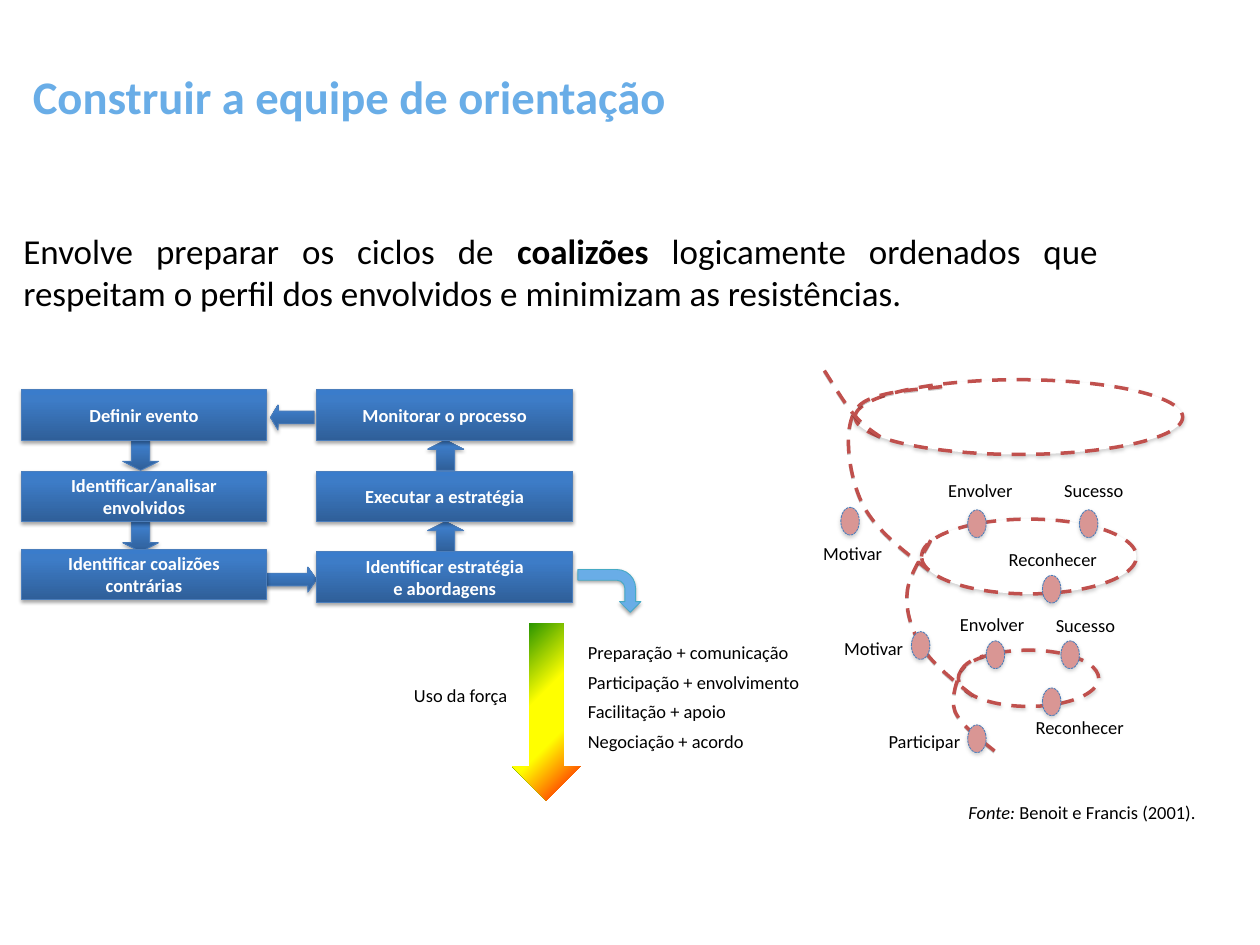
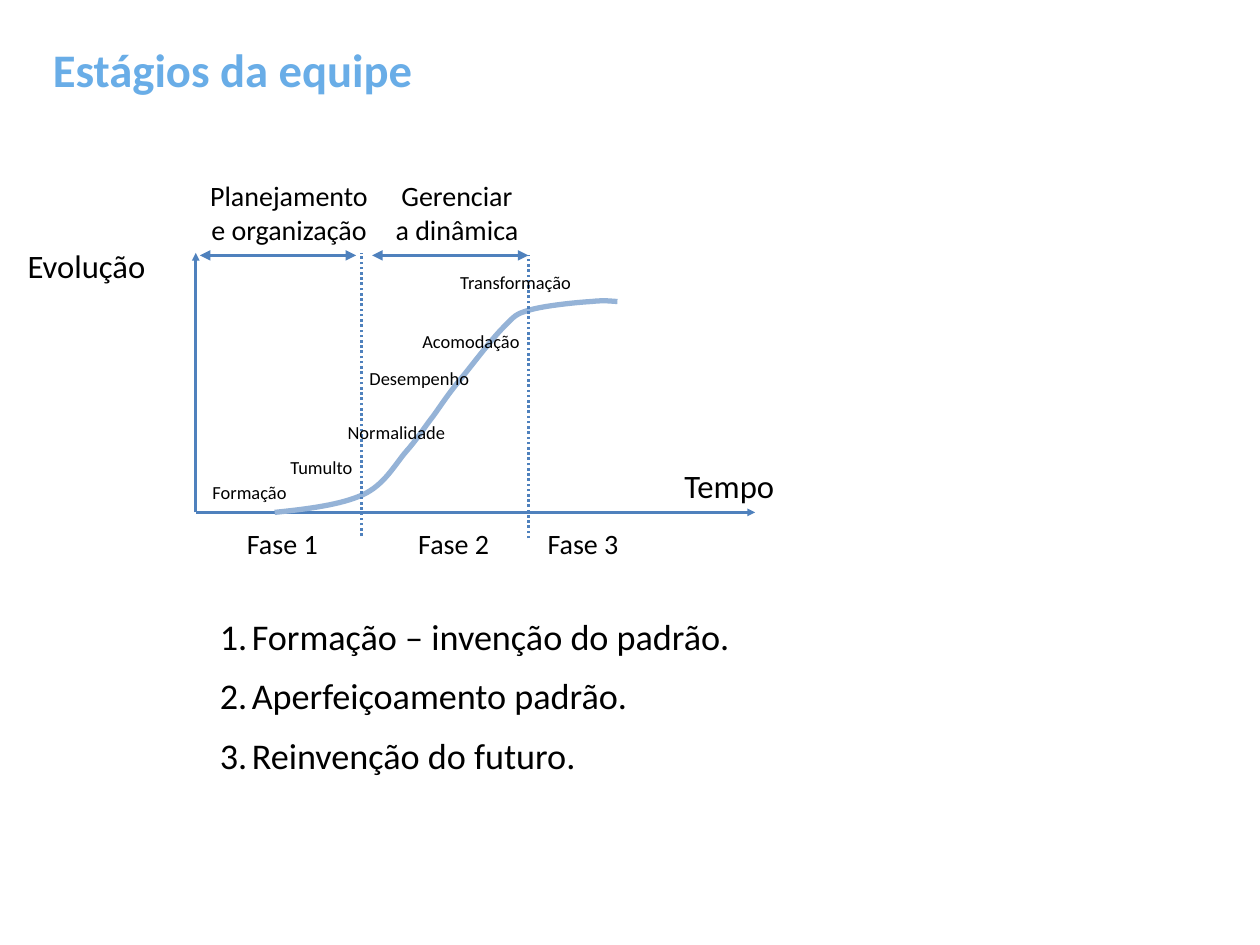
from dataclasses import dataclass

from pptx import Presentation
from pptx import util as u
from pptx.dml.color import RGBColor
from pptx.enum import dml, shapes, text
from pptx.oxml import parse_xml
from pptx.oxml.ns import nsdecls
from pptx.oxml.xmlchemy import OxmlElement

KIND = shapes.MSO_SHAPE
DASH = dml.MSO_LINE
ALIGN = text.PP_ALIGN
ANCHOR = text.MSO_ANCHOR


@dataclass(frozen=True)
class Theme:
    font: str = "Calibri"
    title: str = "69ADE7"
    ink: str = "000000"
    white: str = "FFFFFF"
    box_line: str = "4B7EBC"
    turn_line: str = "46AAC5"
    spiral: str = "C0504D"
    node: str = "D99694"
    node_line: str = "4A7EBB"
    axis: str = "4F81BD"
    growth: str = "95B3D7"
    box_stops: tuple = ((0, "2F5F99"), (80, "3D7CC7"), (100, "3A7CCB"))
    force_stops: tuple = ((0, "FF0000"), (36, "FFFF00"), (59, "FFFF00"), (100, "008000"))
    # Shadows: colour, opacity %, blur pt, distance pt
    dark_shadow: tuple = ("000000", 35, 3.1, 1.8)
    grey_shadow: tuple = ("808080", 35, 3.1, 1.8)
    thin_shadow: tuple = ("000000", 20, 0, 1)
    # Type sizes
    title_size: float = 40
    list_size: float = 31
    lead_size: float = 30
    axis_size: float = 28
    phase_size: float = 24
    label_size: float = 15.8


THEME = Theme()


def apply(target, values):
    for name, value in values.items():
        setattr(target, name, value)


def inches(values):
    return [u.Inches(value) for value in values]


class Deck:
    """Holds the theme and the slide being built."""

    def __init__(self, theme):
        self.theme = theme
        self.prs = Presentation()
        apply(self.prs, {"slide_width": u.Inches(15), "slide_height": u.Inches(11.25)})
        self.slide = None

    def new_slide(self, title, place, **paragraph):
        self.slide = self.prs.slides.add_slide(self.prs.slide_layouts[5])
        heading = self.slide.shapes.title
        apply(heading, dict(zip(("left", "top", "width", "height"), inches(place))))
        self.fill_text(heading.text_frame, title, self.theme.title_size, self.theme.title,
                       {"bold": True}, {"alignment": ALIGN.LEFT, **paragraph},
                       {"vertical_anchor": ANCHOR.TOP, "auto_size": text.MSO_AUTO_SIZE.NONE})

    def fill_text(self, frame, content, size, color, font, paragraph, box):
        """Content is a string, or a list of (text, font values) runs in one paragraph."""
        apply(frame, {"word_wrap": True, **box})
        lines = [[(line, {})] for line in content.split("\n")] if isinstance(content, str) else [content]
        for index, runs in enumerate(lines):
            para = frame.add_paragraph() if index else frame.paragraphs[0]
            values = dict(paragraph)
            if index == 0:
                values.pop("space_before", None)
            apply(para, values)
            for words, extra in runs:
                run = para.add_run()
                run.text = words
                apply(run.font, {"name": self.theme.font, "size": u.Pt(size), **font, **extra})
                run.font.color.rgb = RGBColor.from_string(color)

    def label(self, content, place, size=None, wrap=True, anchor=ANCHOR.TOP, **paragraph):
        box = self.slide.shapes.add_textbox(*inches(place))
        self.fill_text(box.text_frame, content, size or self.theme.label_size, self.theme.ink, {}, paragraph,
                       {"word_wrap": wrap, "vertical_anchor": anchor,
                        "auto_size": text.MSO_AUTO_SIZE.SHAPE_TO_FIT_TEXT})
        return box

    def numbered(self, content, place, size, hang, **paragraph):
        box = self.label(content, place, size, False, ANCHOR.MIDDLE, **paragraph)
        for para in box.text_frame.paragraphs:
            props = para._p.get_or_add_pPr()
            props.set("marL", str(u.Inches(hang)))
            props.set("indent", str(-u.Inches(hang)))
            number = OxmlElement("a:buAutoNum")
            number.set("type", "arabicPeriod")
            props.append(number)

    def stroke(self, line, color, width, dash=None):
        line.color.rgb = RGBColor.from_string(color)
        line.width = u.Pt(width)
        if dash:
            line.dash_style = dash

    def shade(self, shape, shadow):
        shape.shadow.inherit = False
        if shadow:
            color, opacity, blur, distance = shadow
            shape._element.spPr.find("{*}effectLst").append(parse_xml(
                f'<a:outerShdw {nsdecls("a")} blurRad="{u.Pt(blur)}" dist="{u.Pt(distance)}" '
                f'dir="5400000" rotWithShape="0"><a:srgbClr val="{color}">'
                f'<a:alpha val="{opacity * 1000}"/></a:srgbClr></a:outerShdw>'))

    def gradient(self, shape, stops, direction):
        marks = "".join(f'<a:gs pos="{pos * 1000}"><a:srgbClr val="{color}"/></a:gs>' for pos, color in stops)
        shape._element.spPr.insert(2, parse_xml(
            f'<a:gradFill {nsdecls("a")} rotWithShape="1"><a:gsLst>{marks}</a:gsLst>{direction}</a:gradFill>'))

    def shape(self, kind, place, fill=None, line=None, shadow=None, adjust=()):
        """Fill is a colour, or a tuple of (stops, direction) for a gradient."""
        item = self.slide.shapes.add_shape(kind, *inches(place))
        for index, value in enumerate(adjust):
            item.adjustments[index] = value
        if isinstance(fill, tuple):
            self.gradient(item, *fill)
        elif fill:
            item.fill.solid()
            item.fill.fore_color.rgb = RGBColor.from_string(fill)
        else:
            item.fill.background()
        if line:
            self.stroke(item.line, *line)
        else:
            item.line.fill.background()
        self.shade(item, shadow)
        return item

    def block(self, kind, place, adjust=()):
        upward = '<a:lin ang="16200000" scaled="0"/>'
        return self.shape(kind, place, (self.theme.box_stops, upward), (self.theme.box_line, 0.75),
                          self.theme.dark_shadow, adjust)

    def step(self, content, place):
        item = self.block(KIND.RECTANGLE, place)
        self.fill_text(item.text_frame, content, self.theme.label_size, self.theme.white, {"bold": True},
                       {"alignment": ALIGN.CENTER}, {"word_wrap": False, "vertical_anchor": ANCHOR.MIDDLE})

    def curve(self, points, line, shadow=None):
        """Draw cubic curves: a start point, then three points for each segment."""
        start, *rest = [tuple(inches(point)) for point in points]
        builder = self.slide.shapes.build_freeform(*start)
        builder.add_line_segments(rest, close=False)
        item = builder.convert_to_shape()
        outline = item._element.xpath(".//a:path")[0]
        steps = outline.findall("{*}lnTo")
        for first in range(0, len(steps), 3):
            bend = OxmlElement("a:cubicBezTo")
            steps[first].addprevious(bend)
            for step in steps[first:first + 3]:
                bend.append(step[0])
                outline.remove(step)
        item.fill.background()
        self.stroke(item.line, *line)
        self.shade(item, shadow)

    def line(self, start, end, width, dash=None, tips=()):
        item = self.slide.shapes.add_connector(shapes.MSO_CONNECTOR.STRAIGHT, *inches(start + end))
        self.stroke(item.line, self.theme.axis, width, dash)
        props = item._element.spPr
        for tip in tips:
            arrow = OxmlElement(f"a:{tip}")
            arrow.set("type", "triangle")
            props.get_or_add_ln().append(arrow)
        props.append(OxmlElement("a:effectLst"))


def build_coalitions(deck):
    theme = deck.theme
    deck.new_slide("Construir a equipe de orientação", (0.29, 0.76, 7.97, 0.77))

    # Flow of steps: arrows first, boxes over them
    for top in (5.24, 6.21):
        deck.block(KIND.DOWN_ARROW, (1.46, top, 0.43, 0.36), (0.5, 0.3))
        deck.block(KIND.UP_ARROW, (5.09, top, 0.43, 0.36), (0.5, 0.3))
    deck.block(KIND.RIGHT_ARROW, (3.17, 6.75, 0.6, 0.3), (0.5, 0.35))
    deck.block(KIND.LEFT_ARROW, (3.22, 4.82, 0.52, 0.3), (0.5, 0.3))
    columns = (
        (0.26, 2.91, ((4.64, "Definir evento"), (5.61, "Identificar/analisar\nenvolvidos"),
                      (6.54, "Identificar coalizões\ncontrárias"))),
        (3.77, 3.05, ((4.64, "Monitorar o processo"), (5.61, "Executar a estratégia"),
                      (6.57, "Identificar estratégia\ne abordagens"))),
    )
    for left, width, steps in columns:
        for top, name in steps:
            deck.step(name, (left, top, width, 0.6))

    # Lead sentence
    deck.label([("Envolve preparar os ciclos de ", {}), ("coalizões", {"bold": True}),
                (" logicamente ordenados que respeitam o perfil dos envolvidos e minimizam as resistências.", {})],
               (0.18, 2.68, 12.99, 1.11), theme.lead_size, alignment=ALIGN.JUSTIFY)

    # Spiral of coalition cycles
    dashed = (theme.spiral, 3, DASH.DASH)
    for place, fill in (((11.41, 7.74, 1.67, 0.67), None), ((10.97, 6.18, 2.56, 0.89), theme.white),
                        ((10.18, 4.52, 3.9, 0.89), theme.white)):
        deck.shape(KIND.OVAL, place, fill, dashed, theme.grey_shadow)
    spiral_arcs = (
        ((11.84, 8.94), (11.64, 8.78), (11.44, 8.63), (11.37, 8.47), (11.31, 8.31), (11.4, 8.08),
         (11.45, 7.97), (11.51, 7.86), (11.71, 7.81), (11.71, 7.81)),
        ((11.58, 8.28), (11.35, 8.1), (11.11, 7.91), (10.98, 7.71), (10.85, 7.5), (10.78, 7.27),
         (10.8, 7.06), (10.81, 6.84), (11.04, 6.53), (11.08, 6.43)),
        ((11.06, 6.79), (10.73, 6.54), (10.39, 6.28), (10.25, 5.96), (10.1, 5.63), (10.03, 5.08),
         (10.2, 4.86), (10.37, 4.63), (11.09, 4.64), (11.27, 4.59)),
        ((10.48, 5.2), (10.38, 5.13), (10.28, 5.07), (10.17, 4.94), (10.05, 4.8), (9.86, 4.48), (9.8, 4.39)),
    )
    for arc in spiral_arcs:
        deck.curve(arc, dashed, theme.thin_shadow)

    # Each spiral stage: name, label corner and width, node corner
    stages = (
        ("Participar", 10.48, 8.64, 1.45, 11.52, 8.63),
        ("Envolver", 11.33, 7.25, 1.78, 11.74, 7.63),
        ("Sucesso", 12.47, 7.26, 1.78, 12.63, 7.63),
        ("Reconhecer", 12.23, 8.48, 1.78, 12.41, 8.19),
        ("Motivar", 9.95, 7.54, 1.45, 10.85, 7.52),
        ("Envolver", 11.19, 5.66, 1.78, 11.52, 6.07),
        ("Sucesso", 12.57, 5.66, 1.78, 12.85, 6.07),
        ("Reconhecer", 11.91, 6.48, 1.78, 12.41, 6.85),
        ("Motivar", 9.7, 6.4, 1.45, 10.01, 6.04),
    )
    for name, left, top, width, node_left, node_top in stages:
        deck.shape(KIND.OVAL, (node_left, node_top, 0.22, 0.33), theme.node,
                   (theme.node_line, 0.75, DASH.SQUARE_DOT), theme.grey_shadow)
        deck.label(name, (left, top, width, 0.37))
    deck.label([("Fonte: ", {"italic": True}), ("Benoit e Francis (2001).", {})],
               (11.43, 9.49, 2.92, 0.37), wrap=False)

    # Use of force
    deck.label("Preparação + comunicação\nParticipação + envolvimento\nFacilitação + apoio\nNegociação + acordo",
               (6.9, 7.7, 3.78, 1.85), line_spacing=0.5, space_before=u.Pt(theme.label_size))
    from_corner = '<a:path path="circle"><a:fillToRect l="100000" t="100000"/></a:path>'
    deck.shape(KIND.DOWN_ARROW, (6.1, 7.42, 0.81, 2.11), (theme.force_stops, from_corner))
    turn = deck.shape(KIND.BENT_ARROW, (7, 6.66, 0.51, 0.75), theme.title,
                      (theme.turn_line, 0.75), theme.dark_shadow)
    turn.rotation = 90
    deck.label("Uso da força", (4.83, 8.09, 1.31, 0.37), wrap=False)


def build_stages(deck):
    theme = deck.theme
    deck.new_slide("Estágios da equipe", (0.53, 0.51, 6.71, 0.98), line_spacing=0.9)

    # Axes, growth curve and phase limits
    for end in ((2.33, 3.01), (8.99, 6.1)):
        deck.line((2.33, 6.1), end, 2.25, tips=("tailEnd",))
    deck.curve(((3.27, 6.1), (3.66, 6.06), (4.06, 6.01), (4.32, 5.89), (4.58, 5.77), (4.7, 5.53), (4.84, 5.37),
                (4.98, 5.21), (5.05, 5.09), (5.16, 4.95), (5.26, 4.81), (5.33, 4.7), (5.47, 4.53),
                (5.61, 4.36), (5.85, 4.04), (5.99, 3.9), (6.13, 3.76), (6.13, 3.74), (6.31, 3.69),
                (6.48, 3.64), (6.86, 3.6), (7.04, 3.59), (7.21, 3.57), (7.3, 3.59), (7.35, 3.59)),
               (theme.growth, 4.5))
    for x, top in ((4.3, 3.01), (6.29, 3.04)):
        deck.line((x, top + 3.37), (x, top), 2.25, DASH.ROUND_DOT)

    # Phases and team stages
    for number, left in enumerate((2.84, 4.88, 6.42), 1):
        deck.label(f"Fase {number}", (left, 6.22, 1.05, 0.5), theme.phase_size, False, ANCHOR.MIDDLE)
    team_stages = (("Formação", 2.43, 5.68, 1.09), ("Tumulto", 3.36, 5.38, 0.94),
                   ("Normalidade", 4.04, 4.96, 1.37), ("Desempenho", 4.3, 4.32, 1.4),
                   ("Acomodação", 4.93, 3.88, 1.36), ("Transformação", 5.38, 3.17, 1.52))
    for name, left, top, width in team_stages:
        deck.label(name, (left, top, width, 0.37), wrap=False, anchor=ANCHOR.MIDDLE)

    # Axis names
    deck.label("Evolução", (0.23, 2.88, 1.7, 0.57), theme.axis_size, anchor=ANCHOR.MIDDLE)
    deck.label("Tempo", (8.05, 5.5, 1.28, 0.57), theme.axis_size, False, ANCHOR.MIDDLE)

    # Spans above the chart
    for name, left, start in (("Planejamento\ne organização", 2.2, 2.38), ("Gerenciar\na dinâmica", 4.2, 4.43)):
        deck.label(name, (left, 2.08, 2.48, 0.91), theme.phase_size, alignment=ALIGN.CENTER)
        deck.line((start, 3.04), (start + 1.86, 3.04), 3, tips=("headEnd", "tailEnd"))

    # Meaning of the phases
    deck.numbered("Formação – invenção do padrão.\nAperfeiçoamento padrão.\nReinvenção do futuro.",
                  (2.52, 7.25, 6.33, 2.06), theme.list_size, 0.38, space_before=u.Pt(13.5))


def main():
    deck = Deck(THEME)
    build_coalitions(deck)
    build_stages(deck)
    deck.prs.save("out.pptx")


if __name__ == "__main__":
    main()
